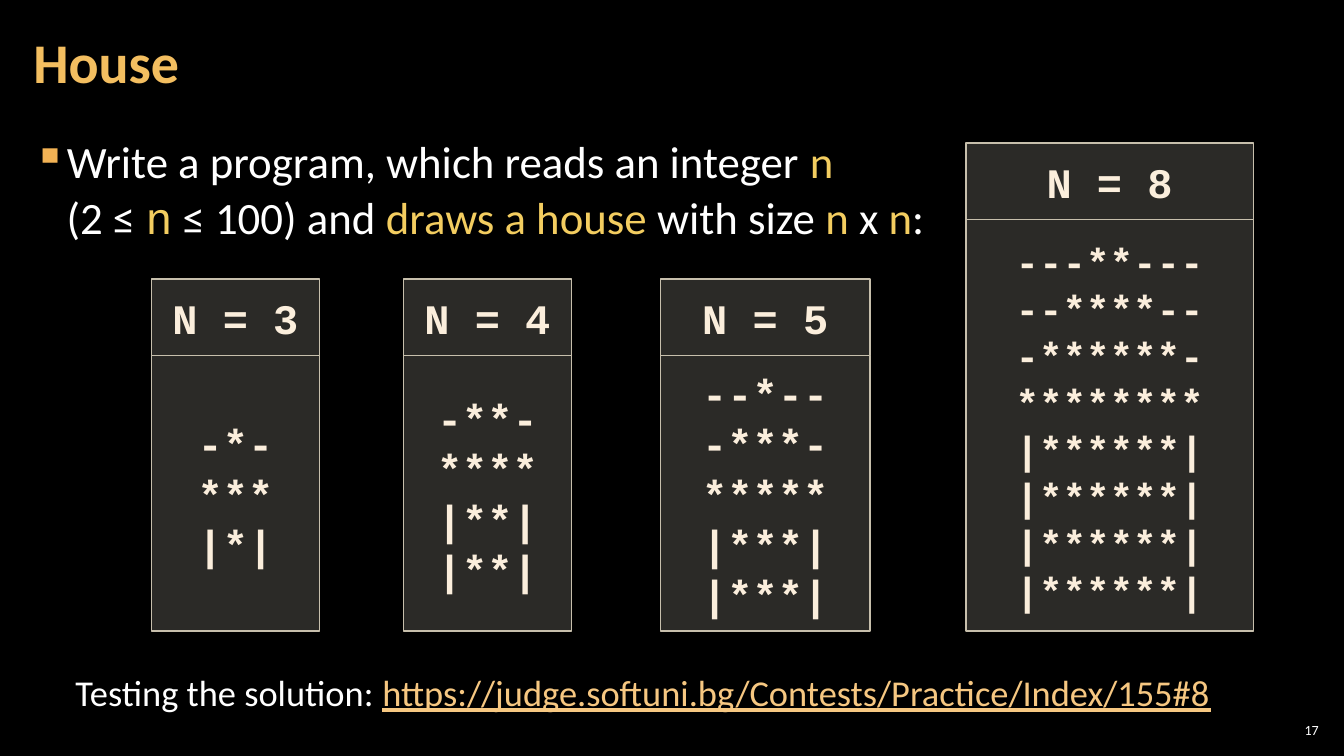
from dataclasses import dataclass

from lxml import etree
from pptx import Presentation
from pptx.dml.color import RGBColor
from pptx.enum.shapes import MSO_SHAPE
from pptx.enum.text import MSO_ANCHOR, MSO_AUTO_SIZE, PP_ALIGN
from pptx.oxml.ns import qn
from pptx.util import Inches, Pt

RECT = MSO_SHAPE.RECTANGLE
MIDDLE = MSO_ANCHOR.MIDDLE
FIXED = MSO_AUTO_SIZE.NONE
LEFT, CENTER, RIGHT = PP_ALIGN.LEFT, PP_ALIGN.CENTER, PP_ALIGN.RIGHT


@dataclass(frozen=True)
class Theme:
    """Colours, fonts and type sizes of the slide."""
    back: str = "000000"
    text: str = "FFFFFF"
    title: str = "F3BE60"
    accent: str = "F3CD60"
    bullet: str = "F2B254"
    link: str = "F6C781"
    panel: str = "D9D5C7"
    edge: str = "C7BFAC"
    code: str = "FBEEDC"
    sans: str = "Calibri"
    mono: str = "Courier New"
    head: int = 40
    body: int = 32
    cell: int = 30
    dense: int = 28
    foot: int = 26
    small: int = 10


def house(n):
    """Return the rows of a house of size n."""
    roof = [("*" * stars).center(n, "-") for stars in range(2 - n % 2, n + 1, 2)]
    return roof + ["|" + "*" * (n - 2) + "|"] * (n // 2)


class Deck:
    """Draw elements on the current slide in one style."""

    def __init__(self, theme):
        """Start a deck with one title-only slide."""
        self.theme = theme
        self.show = Presentation()
        self.show.slide_width, self.show.slide_height = Inches(13.33), Inches(7.5)
        self.slide = self.show.slides.add_slide(self.show.slide_layouts[5])
        fill = self.slide.background.fill
        fill.solid()
        fill.fore_color.rgb = RGBColor.from_string(theme.back)

    def style(self, font, size, color, face, bold=False):
        """Set the look of a font."""
        font.size, font.name, font.bold = Pt(size), face, bold
        font.color.rgb = RGBColor.from_string(color)

    def inset(self, frame, side, edge=0.04):
        """Set the margins of a text frame."""
        frame.margin_left = frame.margin_right = Inches(side)
        frame.margin_top = frame.margin_bottom = Inches(edge)

    def title(self, text, box):
        """Place and format the title."""
        shape = self.slide.shapes.title
        shape.left, shape.top, shape.width, shape.height = map(Inches, box)
        frame = shape.text_frame
        frame.text = text
        frame.auto_size, frame.vertical_anchor = FIXED, MIDDLE
        self.inset(frame, 0.12)
        para = frame.paragraphs[0]
        para.alignment, para.line_spacing = LEFT, 0.9
        self.style(para.font, self.theme.head, self.theme.title, self.theme.sans, True)

    def text(self, box, size, runs, wrap=True):
        """Add a box of coloured runs and return its frame."""
        frame = self.slide.shapes.add_textbox(*map(Inches, box)).text_frame
        frame.word_wrap = wrap
        para = frame.paragraphs[0]
        for words, color, face in runs:
            if words == "\n":
                para.add_line_break()
                continue
            run = para.add_run()
            run.text = words
            self.style(run.font, size, color, face)
            if color == self.theme.link:
                run.font.underline = True
        return frame

    def bullet(self, para):
        """Give a paragraph a hanging square bullet."""
        props = para._p.get_or_add_pPr()
        props.set("marL", str(Inches(0.33)))
        props.set("indent", str(Inches(-0.33)))
        tint = etree.SubElement(props, qn("a:buClr"))
        etree.SubElement(tint, qn("a:srgbClr"), val=self.theme.bullet)
        etree.SubElement(props, qn("a:buChar"), char="▪")
        para.line_spacing, para.space_after = 1.05, Pt(6)

    def cell(self, box, rows, size):
        """Add a translucent box with centred code rows."""
        theme = self.theme
        shape = self.slide.shapes.add_shape(RECT, *map(Inches, box))
        shape.shadow.inherit = False
        shape.fill.solid()
        shape.fill.fore_color.rgb = RGBColor.from_string(theme.panel)
        tint = shape.element.spPr.find(qn("a:solidFill")).find(qn("a:srgbClr"))
        etree.SubElement(tint, qn("a:alpha"), val="20000")
        shape.line.color.rgb = RGBColor.from_string(theme.edge)
        shape.line.width = Pt(1)
        frame = shape.text_frame
        frame.vertical_anchor = MIDDLE
        frame.text = "\n".join(rows)
        for para in frame.paragraphs:
            para.alignment = CENTER
            self.style(para.font, size, theme.code, theme.mono, True)

    def sample(self, n, left, top, width, size):
        """Add a header and the house of size n below it."""
        head, floor = 0.76, 6.26
        self.cell((left, top, width, head), [f"N = {n}"], self.theme.cell)
        body = top + head
        self.cell((left, body, width, floor - body), house(n), size)


def main():
    """Build and save the slide."""
    theme = Theme()
    deck = Deck(theme)
    plain, gold = (theme.text, theme.sans), (theme.accent, theme.sans)
    deck.title("House", (0.21, 0.04, 10.47, 1.21))

    task = deck.text((0.21, 1.26, 9.29, 6.09), theme.body, [
        ("Write a program, which reads an integer ", *plain),
        ("n ", *gold),
        ("\n", *gold),
        ("(2 ≤ ", *plain),
        ("n", theme.accent, theme.mono),
        (" ≤ 100) and ", *plain),
        ("draws a house ", *gold),
        ("with size ", *plain),
        ("n", *gold),
        (" x ", *plain),
        ("n", *gold),
        (":", *plain),
    ])
    deck.inset(task, 0.12)
    deck.bullet(task.paragraphs[0])

    for n, left, top, width, size in (
        (3, 1.5, 2.77, 1.67, theme.cell),
        (4, 4, 2.77, 1.67, theme.cell),
        (5, 6.55, 2.77, 2.08, theme.cell),
        (8, 9.58, 1.42, 2.85, theme.dense),
    ):
        deck.sample(n, left, top, width, size)

    deck.text((0.65, 6.6, 11.57, 0.54), theme.foot, [
        ("Testing the solution: ", *plain),
        ("https://judge.softuni.bg/Contests/Practice/Index/155#8", theme.link, theme.sans),
    ], wrap=False)

    page = deck.text((12.65, 7.14, 0.47, 0.21), theme.small, [("17", *plain)])
    deck.inset(page, 0.04)
    page.vertical_anchor = MIDDLE
    page.paragraphs[0].alignment = RIGHT
    deck.show.save("out.pptx")


if __name__ == "__main__":
    main()
